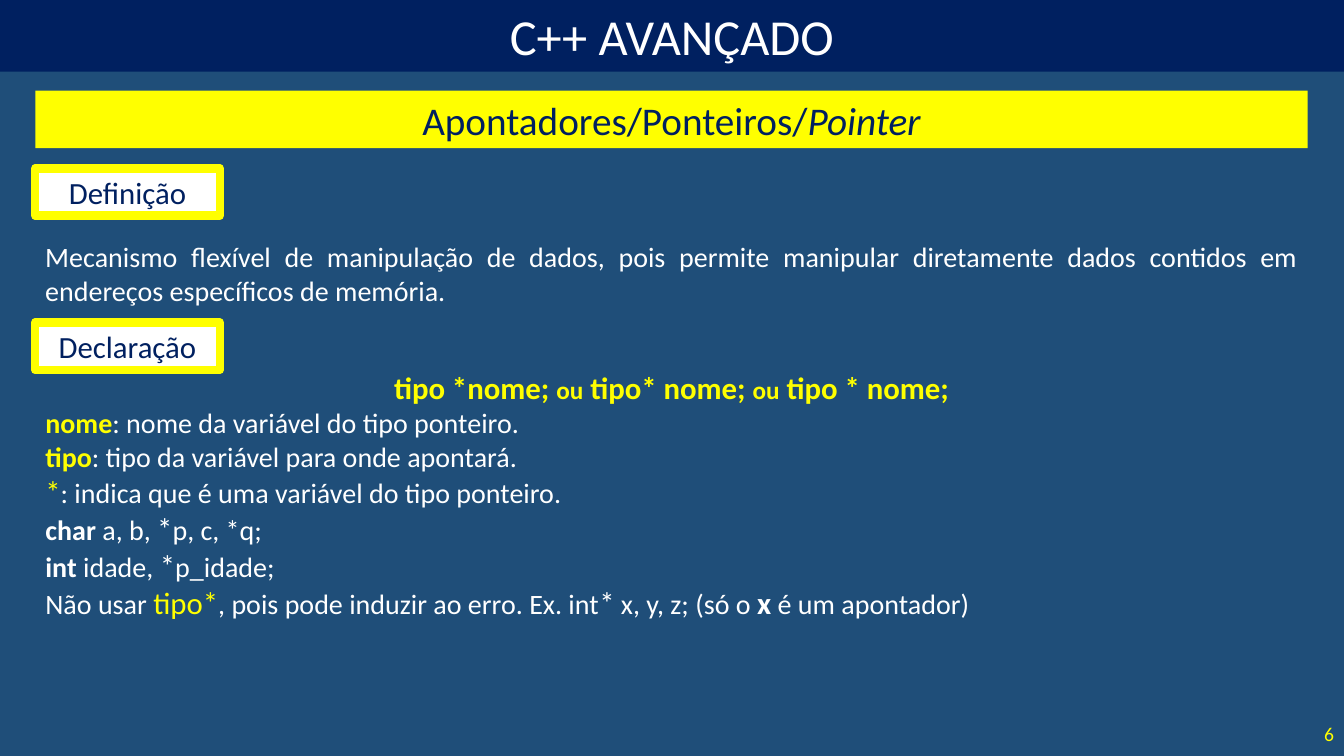
from dataclasses import dataclass

from pptx import Presentation
from pptx.dml.color import RGBColor
from pptx.enum.shapes import MSO_SHAPE
from pptx.enum.text import MSO_ANCHOR, MSO_AUTO_SIZE, PP_ALIGN
from pptx.oxml.xmlchemy import OxmlElement
from pptx.util import Inches, Pt

COLOURS = {
    "background": "1F4E79",
    "navy": "002060",
    "yellow": "FFFF00",
    "white": "FFFFFF",
}
FONT = "Calibri"
MARGIN = 0.35
CONTENT_WIDTH = 12.62


@dataclass(frozen=True)
class Span:
    text: str
    size: float = 20
    colour: str = "white"
    bold: bool = False
    italic: bool = False


@dataclass(frozen=True)
class Area:
    left: float
    top: float
    width: float
    height: float


@dataclass(frozen=True)
class Label:
    text: str
    top: float


LABELS = [Label("Definição", 1.67), Label("Declaração", 3.2)]

DEFINITION = (
    "Mecanismo flexível de manipulação de dados, pois permite manipular "
    "diretamente dados contidos em endereços específicos de memória."
)


def syntax(text: str, size: float = 22) -> Span:
    return Span(text, size, "yellow", bold=True)


def term(text: str) -> Span:
    return syntax(text, 20)


def keyword(text: str) -> Span:
    return Span(text, bold=True)


STAR = Span("*", 22)

SYNTAX_LINE = [
    syntax("tipo *nome; "), syntax("ou", 18), syntax(" tipo* nome; "),
    syntax("ou", 18), syntax(" tipo * nome;"),
]
EXPLANATIONS = [
    [term("nome"), Span(": nome da variável do tipo ponteiro.")],
    [term("tipo"), Span(": tipo da variável para onde apontará.")],
    [Span("*", 22, "yellow"), Span(": indica que é uma variável do tipo ponteiro.")],
    [keyword("char"), Span(" a, b, "), STAR, Span("p, c, *q;")],
    [keyword("int"), Span(" idade, "), STAR, Span("p_idade; ")],
    [
        Span("Não usar "), Span("tipo*", 22, "yellow"),
        Span(", pois pode induzir ao erro. Ex. int"), STAR,
        Span(" x, y, z; (só o "), Span("x", 22, bold=True),
        Span(" é um apontador)"),
    ],
]


def rgb(name: str) -> RGBColor:
    return RGBColor.from_string(COLOURS[name])


def place(shape, area: Area) -> None:
    shape.left, shape.top = Inches(area.left), Inches(area.top)
    shape.width, shape.height = Inches(area.width), Inches(area.height)


def prepare_frame(shape, anchor=MSO_ANCHOR.TOP):
    frame = shape.text_frame
    frame.word_wrap = True
    frame.auto_size = MSO_AUTO_SIZE.NONE
    frame.vertical_anchor = anchor
    return frame


def write_paragraph(paragraph, spans: list[Span], align=PP_ALIGN.CENTER) -> None:
    paragraph.alignment = align
    paragraph.space_before = Pt(0)
    for span in spans:
        run = paragraph.add_run()
        run.text = span.text
        font = run.font
        font.name, font.size = FONT, Pt(span.size)
        font.bold, font.italic = span.bold, span.italic
        font.color.rgb = rgb(span.colour)


def remove_bullet(paragraph) -> None:
    properties = paragraph._p.get_or_add_pPr()
    properties.set("marL", "0")
    properties.set("indent", "0")
    properties.append(OxmlElement("a:buNone"))


def add_text(page, text: str, area: Area, *, size: float = 20,
             colour: str = "white", align=PP_ALIGN.CENTER,
             anchor=MSO_ANCHOR.TOP) -> None:
    box = page.shapes.add_textbox(0, 0, 0, 0)
    place(box, area)
    frame = prepare_frame(box, anchor)
    write_paragraph(frame.paragraphs[0], [Span(text, size, colour)], align)


def add_panel(page, text: str, area: Area, *, fill: str, size: float,
              colour: str, outline: str | None = None) -> None:
    panel = page.shapes.add_shape(MSO_SHAPE.RECTANGLE, 0, 0, 0, 0)
    place(panel, area)
    panel.shadow.inherit = False
    panel.fill.solid()
    panel.fill.fore_color.rgb = rgb(fill)
    if outline:
        panel.line.color.rgb = rgb(outline)
        panel.line.width = Pt(6)
    else:
        panel.line.fill.background()
    frame = prepare_frame(panel, MSO_ANCHOR.MIDDLE)
    write_paragraph(frame.paragraphs[0], [Span(text, size, colour)])


def fill_title(title) -> None:
    place(title, Area(MARGIN, 0.9, CONTENT_WIDTH, 0.57))
    title.fill.solid()
    title.fill.fore_color.rgb = rgb("yellow")
    frame = prepare_frame(title, MSO_ANCHOR.MIDDLE)
    write_paragraph(frame.paragraphs[0], [
        Span("Apontadores/Ponteiros/", 28, "navy"),
        Span("Pointer", 28, "navy", italic=True),
    ])


def fill_body(body) -> None:
    place(body, Area(MARGIN, 3.61, CONTENT_WIDTH, 2.63))
    frame = prepare_frame(body)
    write_paragraph(frame.paragraphs[0], SYNTAX_LINE)
    for spans in EXPLANATIONS:
        write_paragraph(frame.add_paragraph(), spans, PP_ALIGN.JUSTIFY)
    for paragraph in frame.paragraphs:
        remove_bullet(paragraph)


def main() -> None:
    deck = Presentation()
    deck.slide_width, deck.slide_height = Inches(13.33), Inches(7.5)
    page = deck.slides.add_slide(deck.slide_layouts[1])
    page.background.fill.solid()
    page.background.fill.fore_color.rgb = rgb("background")

    fill_title(page.shapes.title)
    fill_body(page.placeholders[1])
    add_panel(page, "C++ AVANÇADO", Area(0, 0, 13.33, 0.71),
              fill="navy", size=36, colour="white")
    for label in LABELS:
        add_panel(page, label.text, Area(MARGIN, label.top, 1.83, 0.47),
                  fill="white", size=22, colour="navy", outline="yellow")
    add_text(page, DEFINITION, Area(MARGIN, 2.33, CONTENT_WIDTH, 0.77),
             align=PP_ALIGN.JUSTIFY)
    add_text(page, "6", Area(12.1, 7.08, 1.23, 0.4), size=14, colour="yellow",
             align=PP_ALIGN.RIGHT, anchor=MSO_ANCHOR.MIDDLE)
    deck.save("out.pptx")


if __name__ == "__main__":
    main()
